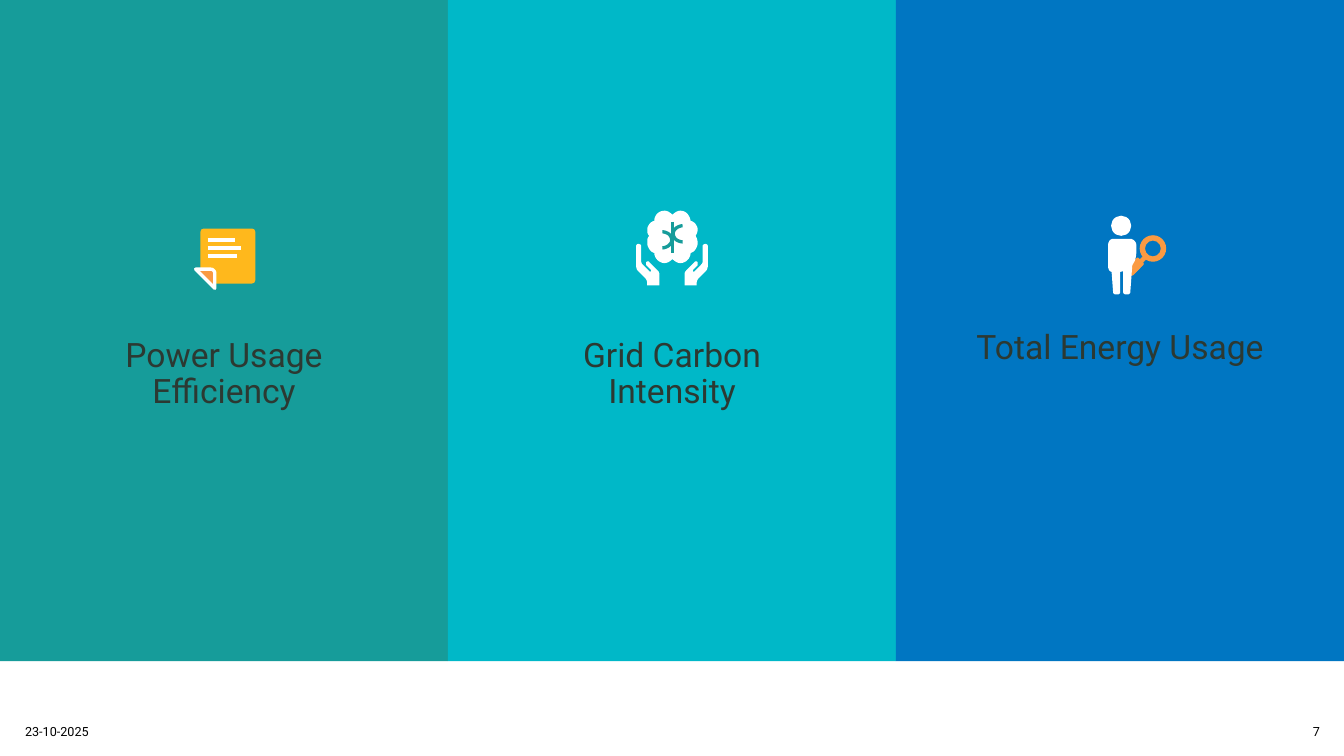
import lxml.etree
import pptx
import pptx.dml.color
import pptx.enum.shapes
import pptx.enum.text
import pptx.oxml.ns
import pptx.util

Inches = pptx.util.Inches
Pt = pptx.util.Pt
Shape = pptx.enum.shapes.MSO_SHAPE
Align = pptx.enum.text.PP_ALIGN
Anchor = pptx.enum.text.MSO_ANCHOR
Fit = pptx.enum.text.MSO_AUTO_SIZE

rgb = pptx.dml.color.RGBColor.from_string
theme = {
    "font": "Roboto",
    "teal": rgb("169C9A"),
    "cyan": rgb("00B8C8"),
    "blue": rgb("0076C2"),
    "yellow": rgb("FFB81C"),
    "orange": rgb("FA9A42"),
    "white": rgb("FFFFFF"),
    "ink": rgb("2C3932"),
    "black": rgb("000000"),
    "heading": Pt(24),
    "footer": Pt(9),
    "stroke": Pt(2.35),
}

deck = pptx.Presentation()
deck.slide_width, deck.slide_height = Inches(13.33), Inches(7.5)
slide = deck.slides.add_slide(deck.slide_layouts[6])
shapes = slide.shapes


def paint(part, fill=None, line=None, width=theme["stroke"]):
    part.shadow.inherit = False
    if fill:
        part.fill.solid()
        part.fill.fore_color.rgb = theme[fill]
    else:
        part.fill.background()
    if line:
        part.line.color.rgb = theme[line]
        part.line.width = width
    else:
        part.line.fill.background()


def trace(steps, fill=None, line=None, flip_x=None, flip_y=None, shift=0):
    points = [steps[0]]
    for step in steps[1:]:
        if len(step) == 2:
            points.append(step)
            continue
        curve = [points[-1], step[:2], step[2:4], step[4:]]
        for n in range(1, 9):
            t = n / 8
            weights = ((1 - t) ** 3, 3 * t * (1 - t) ** 2, 3 * t * t * (1 - t), t ** 3)
            points.append(tuple(sum(w * p[axis] for w, p in zip(weights, curve)) for axis in (0, 1)))
    placed = [
        (((flip_x - x) if flip_x else x) * 1000 + shift * 1000, ((flip_y - y) if flip_y else y) * 1000)
        for x, y in points
    ]
    builder = shapes.build_freeform(*placed[0], scale=Inches(1) / 1000)
    builder.add_line_segments(placed[1:], close=bool(fill))
    paint(builder.convert_to_shape(), fill, line)


panel_width = 13.33 / 3
for column, colour in enumerate(("teal", "cyan", "blue")):
    panel = shapes.add_shape(
        Shape.RECTANGLE, Inches(column * panel_width), 0, Inches(panel_width), Inches(6.56)
    )
    paint(panel, colour)

for left, top, width, height, stroke in (
    (11.31, 2.55, 0.06, 0.04, 0.47),
    (11.17, 2.6, 0.17, 0.09, 0.47),
):
    handle = shapes.add_shape(
        Shape.ROUNDED_RECTANGLE, Inches(left), Inches(top), Inches(width), Inches(height)
    )
    handle.rotation = -45
    paint(handle, "orange", "orange", Pt(stroke))

lens = shapes.add_shape(Shape.DONUT, Inches(11.31), Inches(2.34), Inches(0.25), Inches(0.25))
lens.adjustments[0] = 0.16
paint(lens, "orange", "orange", Pt(0.94))

head = shapes.add_shape(Shape.OVAL, Inches(11.02), Inches(2.14), Inches(0.2), Inches(0.2))
paint(head, "white")

leg = [
    (11.09, 2.56), (11.1, 2.56, 11.11, 2.57, 11.11, 2.58), (11.11, 2.9),
    (11.11, 2.91, 11.1, 2.92, 11.09, 2.92), (11.06, 2.92),
    (11.05, 2.92, 11.04, 2.91, 11.04, 2.9), (11.02, 2.63),
    (11.02, 2.59, 11.05, 2.56, 11.09, 2.56),
]
trace(leg, "white")
trace(leg, "white", flip_x=22.25)
trace([
    (11.04, 2.37), (11.21, 2.37), (11.24, 2.37, 11.27, 2.4, 11.27, 2.43), (11.27, 2.51),
    (11.27, 2.62, 11.19, 2.7, 11.08, 2.7), (11.04, 2.7),
    (11.01, 2.7, 10.99, 2.68, 10.99, 2.64), (10.99, 2.43),
    (10.99, 2.4, 11.01, 2.37, 11.04, 2.37),
], "white")

note = shapes.build_freeform(2020, 2300, scale=Inches(1) / 1000)
note.add_line_segments([(2500, 2300), (2500, 2780), (2130, 2780), (2050, 2750), (2020, 2670)])
paint(note.convert_to_shape(), "yellow", "yellow", Pt(4.7))
trace([
    (2.13, 2.86), (2.13, 2.71), (2.13, 2.69, 2.11, 2.67, 2.09, 2.67), (1.94, 2.67),
], "orange", "white")

brain = [
    (6.49, 2.51), (6.49, 2.56, 6.54, 2.61, 6.59, 2.61), (6.62, 2.61, 6.65, 2.59, 6.67, 2.57),
    (6.69, 2.59, 6.72, 2.61, 6.75, 2.61), (6.8, 2.61, 6.85, 2.56, 6.85, 2.51),
    (6.89, 2.5, 6.92, 2.45, 6.92, 2.41), (6.92, 2.38, 6.91, 2.36, 6.9, 2.34),
    (6.91, 2.32, 6.92, 2.3, 6.92, 2.28), (6.92, 2.24, 6.89, 2.2, 6.85, 2.19),
    (6.84, 2.13, 6.8, 2.09, 6.75, 2.09), (6.72, 2.09, 6.69, 2.11, 6.67, 2.13),
    (6.65, 2.11, 6.62, 2.09, 6.59, 2.09), (6.54, 2.09, 6.49, 2.13, 6.49, 2.19),
    (6.45, 2.2, 6.42, 2.24, 6.42, 2.28), (6.42, 2.3, 6.42, 2.32, 6.44, 2.34),
    (6.42, 2.36, 6.42, 2.38, 6.42, 2.41), (6.42, 2.45, 6.45, 2.5, 6.49, 2.51),
]
trace(brain, "white")

for start_x, start_y, end_x, end_y, colour in (
    (2.06, 2.38, 2.33, 2.38, "white"),
    (2.06, 2.46, 2.39, 2.46, "white"),
    (2.06, 2.54, 2.35, 2.54, "white"),
    (6.67, 2.2, 6.67, 2.51, "teal"),
):
    stroke = shapes.add_connector(
        pptx.enum.shapes.MSO_CONNECTOR.STRAIGHT,
        Inches(start_x), Inches(start_y), Inches(end_x), Inches(end_y),
    )
    stroke.line.color.rgb = theme[colour]
    stroke.line.width = theme["stroke"]
    lxml.etree.SubElement(stroke._element.spPr, pptx.oxml.ns.qn("a:effectLst"))

fold = [(6.77, 2.4), (6.77, 2.4, 6.7, 2.4, 6.68, 2.34), (6.66, 2.27, 6.74, 2.24, 6.77, 2.24)]
trace(fold, line="teal")
trace(fold, line="teal", flip_x=13.34, flip_y=4.7)

hand = [
    (6.88, 2.7), (6.95, 2.63), (6.96, 2.62, 6.97, 2.61, 6.97, 2.59), (6.97, 2.44),
    (6.97, 2.43, 6.98, 2.42, 7, 2.42), (7.01, 2.42, 7.02, 2.43, 7.02, 2.44), (7.02, 2.64),
    (7.02, 2.66, 7.01, 2.68, 7, 2.69), (6.93, 2.76), (6.92, 2.77, 6.91, 2.79, 6.91, 2.81),
    (6.91, 2.83), (6.79, 2.83), (6.79, 2.72), (6.79, 2.7, 6.8, 2.69, 6.81, 2.68),
    (6.89, 2.6), (6.89, 2.59, 6.91, 2.59, 6.92, 2.6), (6.92, 2.61, 6.92, 2.62, 6.92, 2.63),
    (6.87, 2.68),
]
trace(hand, "white")
trace(hand, "white", flip_x=13.33)

heading_frame = {
    "margin_left": 0, "margin_top": 0, "margin_right": 0, "margin_bottom": 0,
    "word_wrap": True, "auto_size": Fit.SHAPE_TO_FIT_TEXT,
}
heading_paragraph = {
    "alignment": Align.CENTER, "line_spacing": 0.9, "space_before": Pt(6), "space_after": Pt(6),
}
footer_frame = {"word_wrap": True, "vertical_anchor": Anchor.MIDDLE}
labels = [
    (0.15, 7.06, 3.82, 0.4, "23-10-2025", "footer", "black", footer_frame, {}),
    (12.72, 7.06, 0.47, 0.4, "7", "footer", "black", footer_frame, {"alignment": Align.RIGHT}),
]
for column, (top, metric) in enumerate((
    (3.36, "Power Usage Efficiency"),
    (3.36, "Grid Carbon Intensity"),
    (3.28, "Total Energy Usage"),
)):
    left = column * panel_width + (panel_width - 2.88) / 2
    labels.append(
        (left, top, 2.88, 0.73, metric, "heading", "ink", heading_frame, heading_paragraph)
    )

for left, top, width, height, words, size, colour, frame_format, paragraph_format in labels:
    frame = shapes.add_textbox(Inches(left), Inches(top), Inches(width), Inches(height)).text_frame
    paragraph = frame.paragraphs[0]
    run = paragraph.add_run()
    run.text = words
    for target, values in (
        (frame, frame_format),
        (paragraph, paragraph_format),
        (run.font, {"name": theme["font"], "size": theme[size]}),
        (run.font.color, {"rgb": theme[colour]}),
    ):
        for attribute, value in values.items():
            setattr(target, attribute, value)

deck.save("out.pptx")
